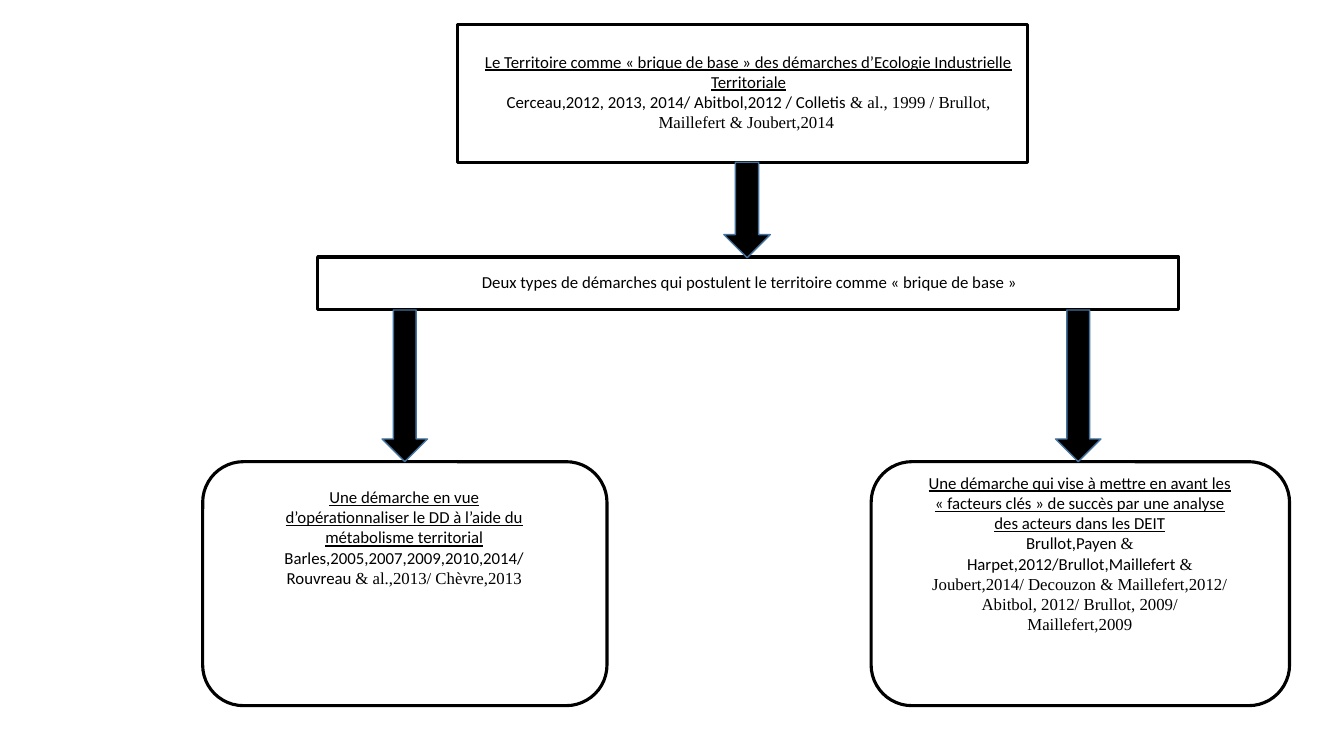
from pptx import Presentation
from pptx.dml.color import RGBColor
from pptx.enum.shapes import MSO_SHAPE
from pptx.enum.text import PP_ALIGN
from pptx.util import Inches, Pt

RECT, ROUNDED, ARROW = MSO_SHAPE.RECTANGLE, MSO_SHAPE.ROUNDED_RECTANGLE, MSO_SHAPE.DOWN_ARROW
CENTER = PP_ALIGN.CENTER
SANS, SERIF = "Calibri", "Times New Roman"
BLACK, WHITE, BLUE = "000000", "FFFFFF", "43739E"

prs = Presentation()
prs.slide_width, prs.slide_height = Inches(13.33), Inches(7.5)
s = prs.slides.add_slide(prs.slide_layouts[6])


def area(x, y, w, h):
    """Turn percentages of the slide's width and height into lengths."""
    sw, sh = prs.slide_width, prs.slide_height
    return [int(v * side / 100) for v, side in ((x, sw), (y, sh), (w, sw), (h, sh))]


def rgb(value):
    """Turn a hex string into a colour."""
    return RGBColor.from_string(value)


# Rows of the diagram, in percent of the slide's height
BAR_TOP, BAR_BOTTOM, CARD_TOP, CARD_HEIGHT = 34, 41, 61.07, 32.27
TOP_BOX_BOTTOM = 21.47

boxes = [
    (RECT, 34.06, 3.2, 42.39, TOP_BOX_BOTTOM - 3.2),
    (RECT, 23.63, BAR_TOP, 64.07, BAR_BOTTOM - BAR_TOP),
    (ROUNDED, 15.08, CARD_TOP, 30.08, CARD_HEIGHT),
    (ROUNDED, 64.82, CARD_TOP, 31.13, CARD_HEIGHT),
]
arrows = [
    (ARROW, 53.86, TOP_BOX_BOTTOM, 3.45, BAR_TOP - TOP_BOX_BOTTOM + 0.1),
    (ARROW, 28.43, BAR_BOTTOM, 3.38, CARD_TOP - BAR_BOTTOM),
    (ARROW, 78.54, BAR_BOTTOM, 3.38, CARD_TOP - BAR_BOTTOM),
]
for shapes, fill, line, width in ((boxes, WHITE, BLACK, 2.25), (arrows, BLACK, BLUE, 1)):
    for kind, *place in shapes:
        sp = s.shapes.add_shape(kind, *area(*place))
        sp.shadow.inherit = False
        sp.fill.solid()
        sp.fill.fore_color.rgb = rgb(fill)
        sp.line.color.rgb = rgb(line)
        sp.line.width = Pt(width)

# Place, heading, heading underlined, then references as (font, text) runs
texts = [
    ((34.51, 6.13, 42.39, 14.4),
     "Le Territoire comme «\u00a0brique de base\u00a0» des démarches d’Ecologie Industrielle Territoriale",
     True,
     [(SANS, "Cerceau,2012, 2013, 2014/ Abitbol,2012 / Colletis "),
      (SERIF, "& al., 1999 / Brullot, Maillefert & Joubert,2014 ")]),
    ((23.86, 35.33, 63.84, 4.8),
     "Deux types de démarches qui postulent le territoire comme «\u00a0brique de base\u00a0»",
     False, []),
    ((19.73, 63.73, 20.71, 24),
     "Une démarche en vue d’opérationnaliser le DD à l’aide du métabolisme territorial",
     True,
     [(SANS, "Barles,2005,2007,2009,2010,2014/ Rouvreau "),
      (SERIF, "& al.,2013/ Chèvre,2013")]),
    ((68.27, 61.87, 24.16, 30.4),
     "Une démarche qui vise à mettre en avant les «\u00a0facteurs clés\u00a0» de succès "
     "par une analyse des acteurs dans les DEIT",
     True,
     [(SANS, "Brullot,Payen "), (SERIF, "&"),
      (SANS, " Harpet,2012/Brullot,Maillefert "),
      (SERIF, "& Joubert,2014/ Decouzon & Maillefert,2012/ Abitbol, 2012/ "
              "Brullot, 2009/ Maillefert,2009")]),
]
for place, heading, underlined, references in texts:
    tf = s.shapes.add_textbox(*area(*place)).text_frame
    tf.word_wrap = True
    paragraphs = [[(SANS, heading)]] + ([references] if references else [])
    for i, runs in enumerate(paragraphs):
        p = tf.add_paragraph() if i else tf.paragraphs[0]
        p.alignment = CENTER
        p.font.size = Pt(12)
        p.font.color.rgb = rgb(BLACK)
        p.font.underline = underlined and i == 0
        for font, text in runs:
            r = p.add_run()
            r.text = text
            r.font.name = font
            r.font.size = p.font.size
            r.font.underline = p.font.underline

prs.save("out.pptx")
